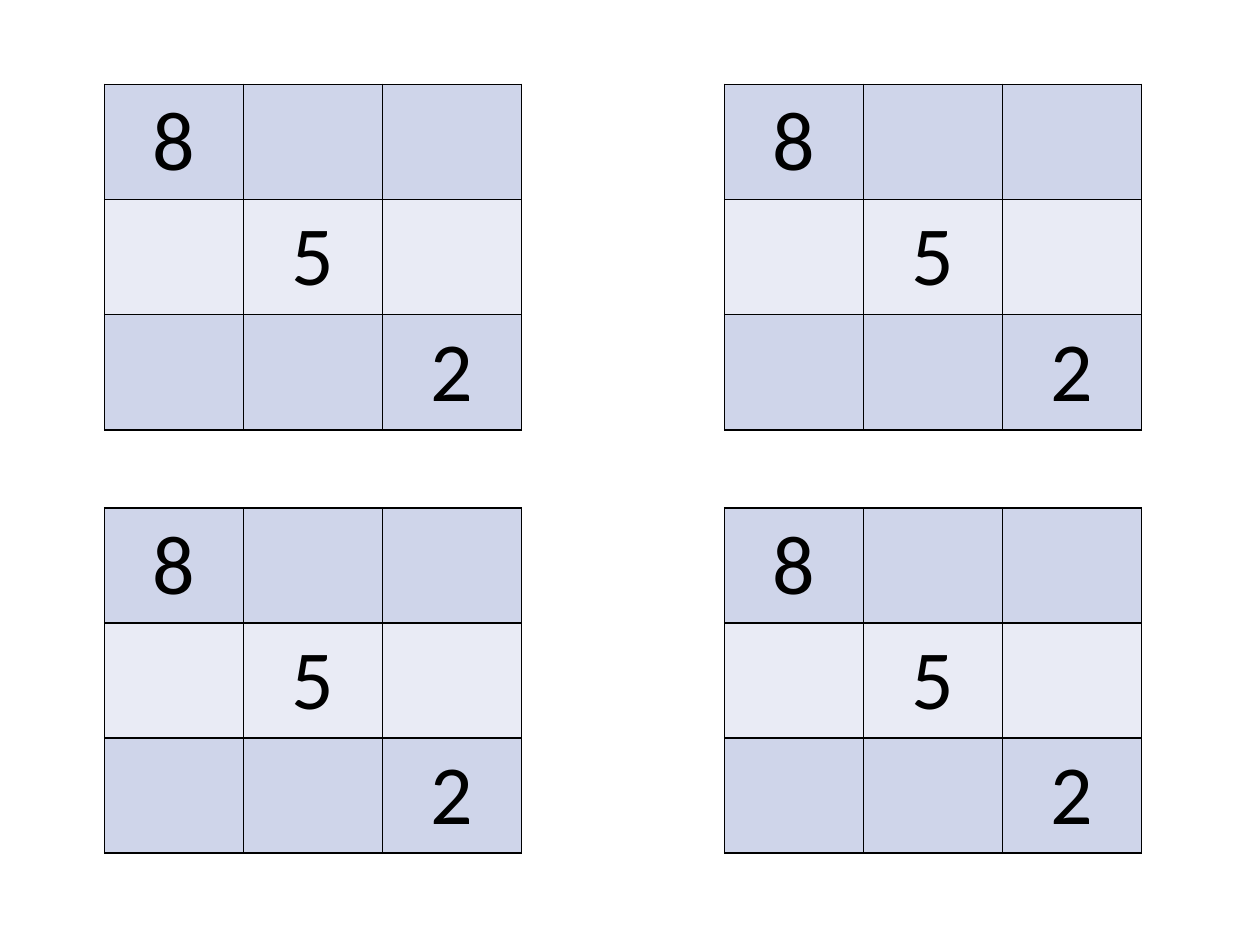
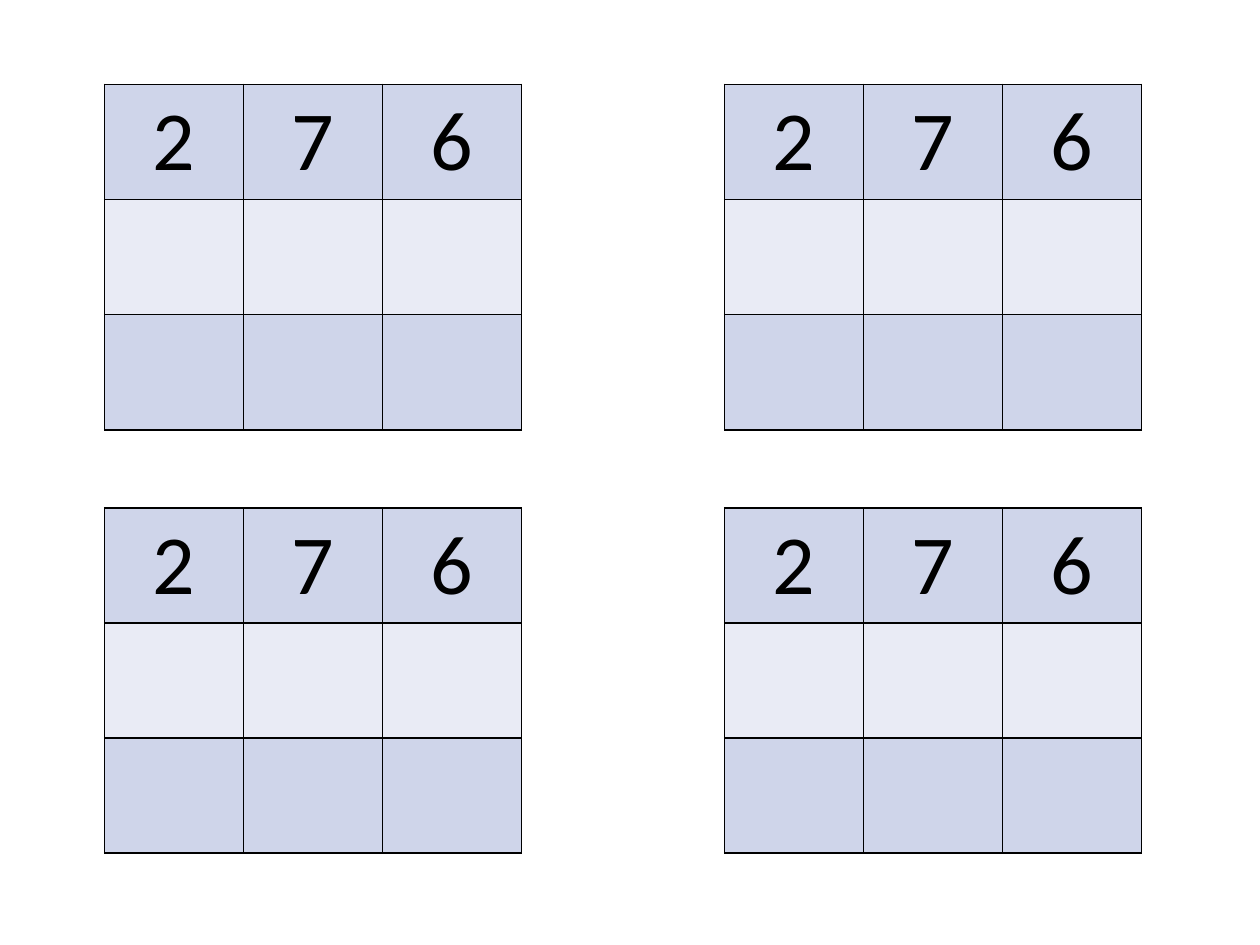
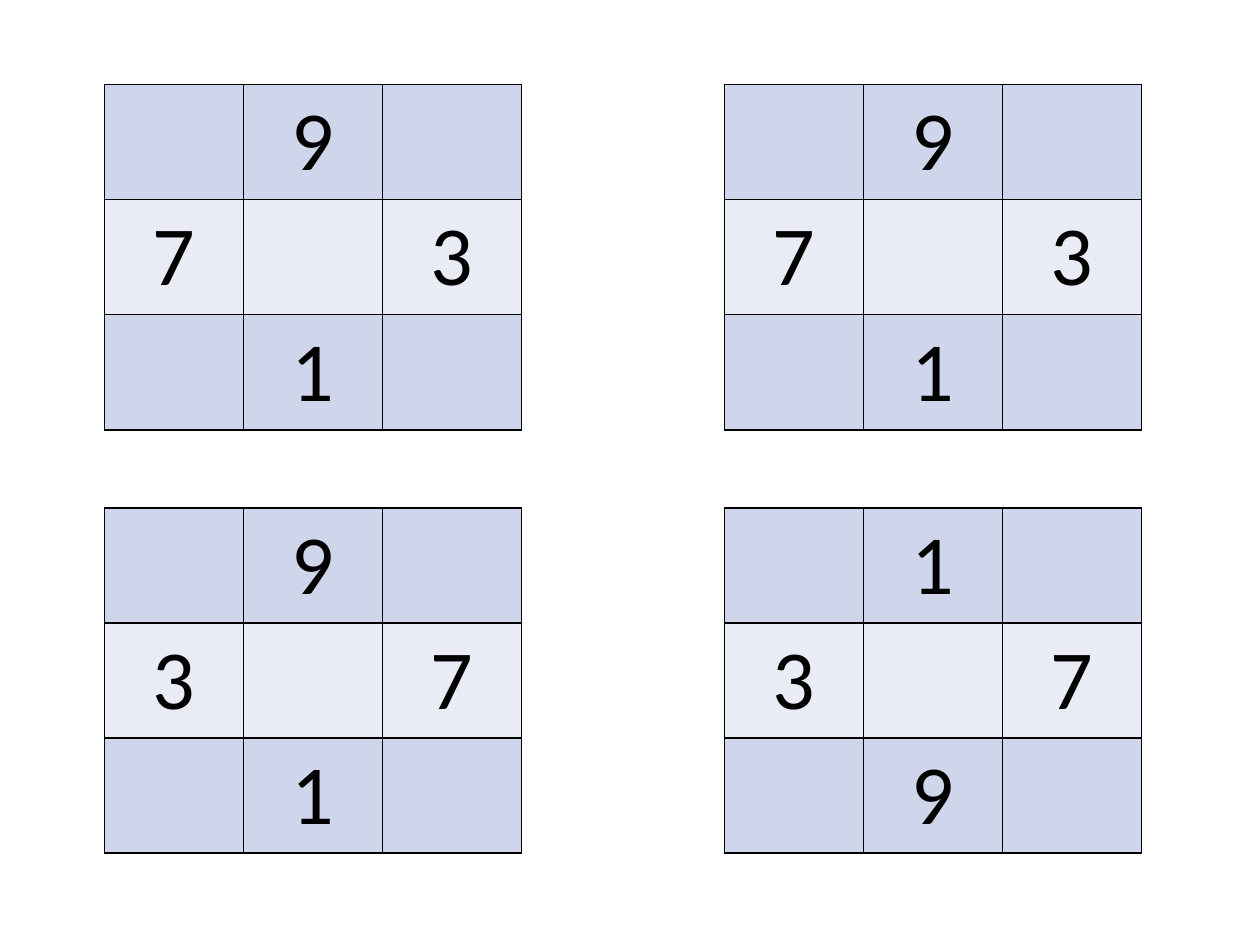
from lxml.etree import SubElement
from pptx import Presentation
from pptx.dml.color import RGBColor
from pptx.enum.text import MSO_ANCHOR, PP_ALIGN
from pptx.oxml.ns import qn
from pptx.util import Inches, Pt

DIAGONAL = ("8  ", " 5 ", "  2")
TOP_ROW = ("276", "   ", "   ")
CROSS = (" 9 ", "7 3", " 1 ")
CROSS_MIRRORED = (" 9 ", "3 7", " 1 ")
CROSS_TURNED = (" 1 ", "3 7", " 9 ")
SLIDES = [
    [DIAGONAL] * 4,
    [TOP_ROW] * 4,
    [CROSS, CROSS, CROSS_MIRRORED, CROSS_TURNED],
]

BLACK = RGBColor(0x00, 0x00, 0x00)
BANDS = [RGBColor(0xCF, 0xD5, 0xEA), RGBColor(0xE9, 0xEB, 0xF5)]
FONT = "Calibri"
NUMBER_SIZE = Pt(48)
BORDER = Pt(1)

LEFT, TOP = Inches(0.83), Inches(0.67)
STEP_X, STEP_Y = Inches(4.92), Inches(3.36)
SQUARE_W, SQUARE_H = Inches(3.31), Inches(2.7)
ROW_H = Inches(0.8)


def add_borders(cell):
    tcPr = cell._tc.get_or_add_tcPr()
    for side in ("lnL", "lnR", "lnT", "lnB"):
        ln = SubElement(tcPr, qn(f"a:{side}"), w=str(BORDER))
        fill = SubElement(ln, qn("a:solidFill"))
        SubElement(fill, qn("a:srgbClr"), val=str(BLACK))


def fill_cell(cell, number, band):
    add_borders(cell)
    cell.fill.solid()
    cell.fill.fore_color.rgb = band
    cell.vertical_anchor = MSO_ANCHOR.MIDDLE
    p = cell.text_frame.paragraphs[0]
    p.alignment = PP_ALIGN.CENTER
    if number == " ":
        SubElement(p._p, qn("a:endParaRPr"), sz=str(int(NUMBER_SIZE.pt * 100)))
        return
    p.text = number
    font = p.runs[0].font
    font.name, font.size = FONT, NUMBER_SIZE
    font.color.rgb = BLACK


def add_square(s, rows, left, top):
    frame = s.shapes.add_table(len(rows), len(rows[0]), left, top, SQUARE_W, SQUARE_H)
    table = frame.table
    table.first_row = False
    for i, row in enumerate(rows):
        table.rows[i].height = ROW_H
        for j, number in enumerate(row):
            fill_cell(table.cell(i, j), number, BANDS[i % 2])
    frame.height = SQUARE_H


prs = Presentation()
prs.slide_width, prs.slide_height = Inches(10), Inches(7.5)
for squares in SLIDES:
    s = prs.slides.add_slide(prs.slide_layouts[6])
    for n, rows in enumerate(squares):
        down, across = divmod(n, 2)
        add_square(s, rows, LEFT + across * STEP_X, TOP + down * STEP_Y)
prs.save("out.pptx")
